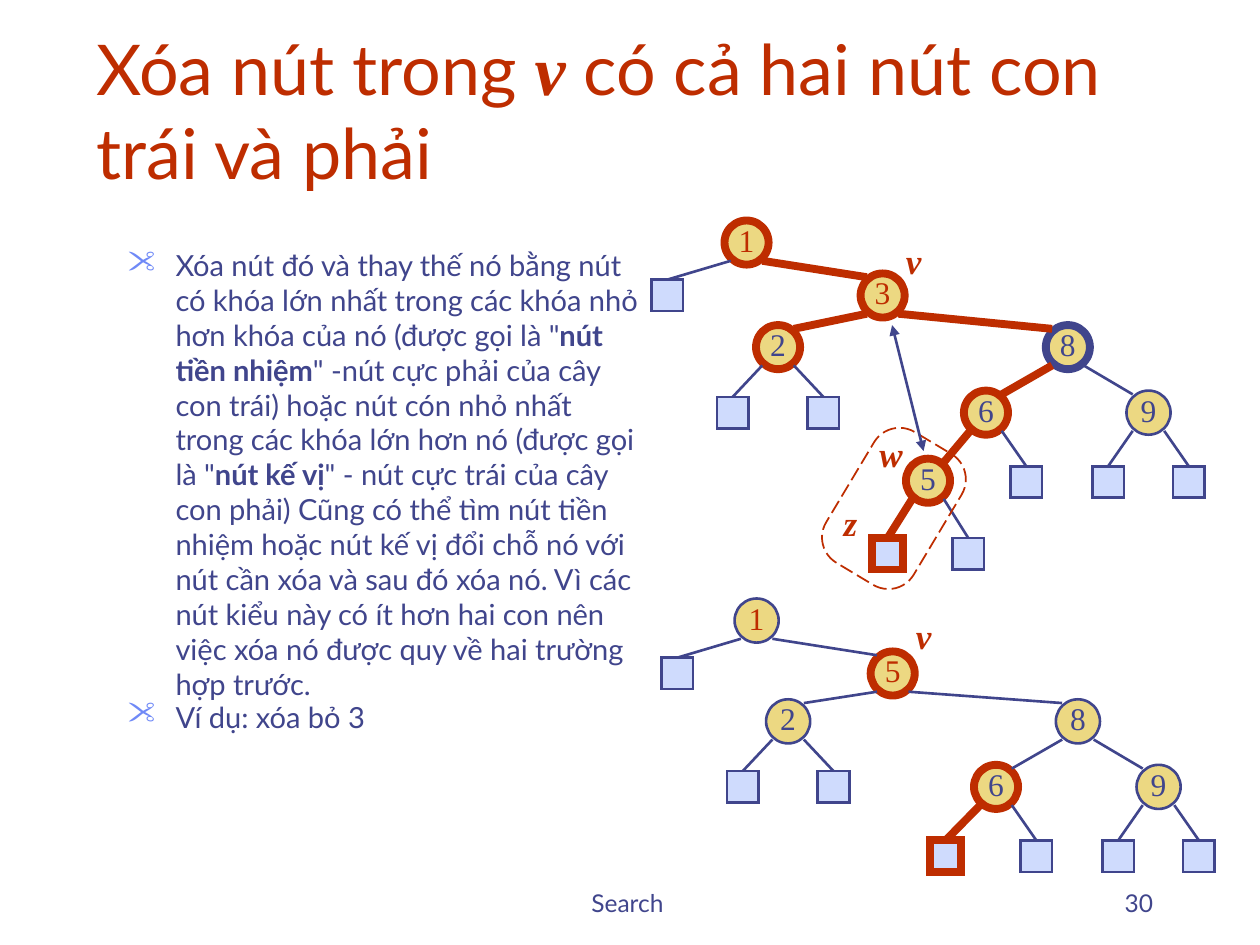
from dataclasses import dataclass

from lxml.etree import SubElement
from pptx import Presentation
from pptx.dml.color import RGBColor
from pptx.enum.dml import MSO_LINE
from pptx.enum.shapes import MSO_CONNECTOR, MSO_SHAPE
from pptx.enum.text import MSO_ANCHOR, PP_ALIGN
from pptx.oxml.ns import qn
from pptx.util import Inches, Pt


@dataclass(frozen=True)
class Theme:
    """Colours, fonts, type sizes and pens of the slide."""
    navy: str = "40458C"
    red: str = "BE2D00"
    gold: str = "ECD882"
    pale: str = "CFDBFD"
    bullet: str = "6F89F7"
    sans: str = "Lato"
    serif: str = "Times New Roman"
    symbols: str = "Wingdings"
    title: float = 40
    body: float = 16.6
    key: float = 18
    tag: float = 20
    footer: float = 14
    thin: tuple = ("40458C", 1.5)
    thick: tuple = ("40458C", 4.5)
    hot: tuple = ("BE2D00", 4.5)
    dashed: tuple = ("BE2D00", 1)


THEME = Theme()


@dataclass(frozen=True)
class Node:
    """A tree node placed by its offset from its parent; no key means a leaf."""
    dx: float
    dy: float
    key: str = ""
    ring: tuple = THEME.thin
    edge: tuple = THEME.thin
    ink: str = THEME.navy
    children: tuple = ()


class SlideBuilder:
    """Draws elements on a grid of 100 columns by 75 rows."""

    def __init__(self, theme):
        """Open a blank slide."""
        self.theme = theme
        self.deck = Presentation()
        self.deck.slide_width, self.deck.slide_height = Inches(10), Inches(7.5)
        self.cell = self.deck.slide_width / 100
        self.slide = self.deck.slides.add_slide(self.deck.slide_layouts[6])
        self.shapes = self.slide.shapes

    def grid(self, *cells):
        """Turn grid cells into slide lengths."""
        return [round(cell * self.cell) for cell in cells]

    def run(self, paragraph, words, size, color, font, bold=False, italic=False):
        """Add one styled run."""
        run = paragraph.add_run()
        run.text = words
        run.font.size, run.font.name = Pt(size), font
        run.font.bold, run.font.italic = bold, italic
        run.font.color.rgb = RGBColor.from_string(color)

    def text(self, box, anchor=MSO_ANCHOR.TOP, align=PP_ALIGN.LEFT, wrap=True):
        """Add an empty text box and return its frame."""
        frame = self.shapes.add_textbox(*self.grid(*box)).text_frame
        frame.word_wrap, frame.vertical_anchor = wrap, anchor
        frame.paragraphs[0].alignment = align
        return frame

    def bullet(self, paragraph, spacing):
        """Give a paragraph its scissors bullet and spacing."""
        paragraph.space_before, paragraph.line_spacing = Pt(4.5), spacing
        props = paragraph._p.get_or_add_pPr()
        indent = Inches(0.38)
        props.set("marL", str(indent))
        props.set("indent", str(-indent))
        color = SubElement(props, qn("a:buClr"))
        SubElement(color, qn("a:srgbClr"), val=self.theme.bullet)
        SubElement(props, qn("a:buSzPct"), val="110000")
        SubElement(props, qn("a:buFont"), typeface=self.theme.symbols, charset="2")
        SubElement(props, qn("a:buChar"), char='"')

    def pen(self, line, pen):
        """Set a line's colour and width."""
        line.color.rgb, line.width = RGBColor.from_string(pen[0]), Pt(pen[1])

    def shape(self, kind, x, y, width, height, fill, pen):
        """Add a preset shape centred on a point."""
        shape = self.shapes.add_shape(
            kind, *self.grid(x - width / 2, y - height / 2, width, height))
        shape.shadow.inherit = False
        if fill:
            shape.fill.solid()
            shape.fill.fore_color.rgb = RGBColor.from_string(fill)
        else:
            shape.fill.background()
        self.pen(shape.line, pen)
        return shape

    def line(self, start, end, pen):
        """Add a straight connector."""
        line = self.shapes.add_connector(
            MSO_CONNECTOR.STRAIGHT, *self.grid(*start, *end))
        SubElement(line._element.spPr, qn("a:effectLst"))
        self.pen(line.line, pen)
        return line

    def swap_arrow(self, start, end):
        """Add a double-headed arrow."""
        outline = self.line(start, end, self.theme.thin).line._get_or_add_ln()
        for tip in ("a:headEnd", "a:tailEnd"):
            SubElement(outline, qn(tip), type="triangle")

    def tag(self, letter, x, y):
        """Name a node with a serif letter centred on a column."""
        frame = self.text((x - 1.6, y, 3.2, 4.4), align=PP_ALIGN.CENTER, wrap=False)
        self.run(frame.paragraphs[0], letter, self.theme.tag, self.theme.red,
                 self.theme.serif, True, True)

    def node(self, node, x, y):
        """Add one circle with its key, or one sharp-cornered leaf square."""
        if not node.key:
            leaf = self.shape(MSO_SHAPE.RECTANGLE, x, y, 2.5, 2.5,
                              self.theme.pale, node.ring)
            SubElement(leaf.line._get_or_add_ln(), qn("a:miter"), lim="800000")
            return leaf
        circle = self.shape(MSO_SHAPE.OVAL, x, y, 3.5, 3.5, self.theme.gold, node.ring)
        frame = circle.text_frame
        frame.margin_left = frame.margin_right = frame.margin_top = 0
        frame.margin_bottom = Inches(0.05)
        frame.word_wrap, frame.vertical_anchor = False, MSO_ANCHOR.MIDDLE
        frame.paragraphs[0].alignment = PP_ALIGN.CENTER
        self.run(frame.paragraphs[0], node.key, self.theme.key, node.ink, self.theme.serif)
        return circle

    def tree(self, node, x=0, y=0):
        """Draw a node, its subtrees and the edges to them."""
        x, y = x + node.dx, y + node.dy
        drawn = self.node(node, x, y)
        for child in node.children:
            side = 1.25 if child.dx > 0 else -1.25
            below = self.tree(child, x, y)
            edge = self.line((x + side, y + 1.45),
                             (x + child.dx - side, y + child.dy - 1.45), child.edge)
            if not child.key:
                edge.end_connect(below, 0)
        return drawn

    def group(self):
        """Send the next elements to a new group."""
        self.shapes = self.slide.shapes.add_group_shape().shapes

    def ungroup(self):
        """Send the next elements to the slide itself."""
        self.shapes = self.slide.shapes


def leaves(spread, drop, left=THEME.thin):
    """Return two leaves at equal distances from their parent."""
    return Node(-spread, drop, ring=left, edge=left), Node(spread, drop)


def search_tree(x, y, root_ring, v_key, drop, path_pen, eight_ring, six_left):
    """Return the tree shared by both steps, with its step's pens."""
    hot, red = THEME.hot, THEME.red
    two_ring = path_pen
    two = Node(-8.3, drop, "2", two_ring, path_pen, children=leaves(3.6, 5.2))
    six = Node(-6.5, 5.2, "6", hot, path_pen, children=(six_left, Node(3.2, 5.5)))
    nine = Node(6.4, 5.2, "9", children=leaves(3.2, 5.5))
    eight = Node(14.7, drop, "8", eight_ring, path_pen, children=(six, nine))
    v = Node(10.8, 4.2, v_key, hot, path_pen, red, (two, eight))
    return Node(x, y, "1", root_ring, ink=red, children=(Node(-6.3, 4.2), v))


def main():
    """Build the slide."""
    theme = THEME
    page = SlideBuilder(theme)
    for words, box, align in (("Search ", (34.2, 68.3, 31.7, 5), PP_ALIGN.CENTER),
                              ("30", (71.7, 68.3, 20.8, 5), PP_ALIGN.RIGHT)):
        footer = page.text(box, MSO_ANCHOR.BOTTOM, align)
        page.run(footer.paragraphs[0], words, theme.footer, theme.navy, theme.sans)

    title = page.text((6.7, 3.35, 85, 12.5), MSO_ANCHOR.BOTTOM).paragraphs[0]
    page.run(title, "Xóa nút trong ", theme.title, theme.red, theme.sans)
    page.run(title, "v", theme.title, theme.red, theme.serif, True, True)
    page.run(title, " có cả hai nút con trái và phải", theme.title, theme.red, theme.sans)

    body = page.text((9.15, 19.15, 42.8, 45.8))
    method = body.paragraphs[0]
    page.bullet(method, 1.0)
    for words, bold in (
            ("Xóa nút đó và thay thế nó bằng nút có khóa lớn nhất trong các khóa nhỏ "
             "hơn khóa của nó (được gọi là \"", False),
            ("nút tiền nhiệm", True),
            ("\" -nút cực phải của cây con trái) hoặc nút cón nhỏ nhất trong các khóa "
             "lớn hơn nó (được gọi là \"", False),
            ("nút kế vị", True),
            ("\" - nút cực trái của cây con phải) Cũng có thể tìm nút tiền nhiệm hoặc "
             "nút kế vị đổi chỗ nó với nút cần xóa và sau đó xóa nó. Vì các nút kiểu "
             "này có ít hơn hai con nên việc xóa nó được quy về hai trường hợp trước.",
             False)):
        page.run(method, words, theme.body, theme.navy, theme.sans, bold)
    example = body.add_paragraph()
    page.bullet(example, 0.7)
    page.run(example, "Ví dụ: xóa bỏ 3", theme.body, theme.navy, theme.sans)

    page.group()
    hot_leaf = Node(-4, 5.5, ring=theme.hot, edge=theme.hot)
    page.tree(search_tree(60.05, 49.25, theme.thin, "5", 3.8, theme.thin,
                          theme.thin, hot_leaf))
    page.tag("v", 73.3, 48.3)

    page.group()
    successor = Node(-4.6, 5.4, "5", theme.hot, theme.hot,
                     children=leaves(3.2, 5.8, theme.hot))
    page.tree(search_tree(59.25, 19.25, theme.hot, "3", 4.1, theme.hot,
                          theme.thick, successor))
    for letter, x, y in (("v", 72.5, 18.5), ("w", 70.4, 33.8), ("z", 67.5, 39.3)):
        page.tag(letter, x, y)
    removed = page.shape(MSO_SHAPE.ROUNDED_RECTANGLE, 70.95, 40.35, 12.1, 8.1,
                         None, theme.dashed)
    removed.adjustments[0], removed.rotation = 0.29, 300.9
    removed.line.dash_style = MSO_LINE.LONG_DASH

    page.ungroup()
    page.swap_arrow((70.8, 25.8), (73.3, 35.8))
    page.deck.save("out.pptx")


if __name__ == "__main__":
    main()
